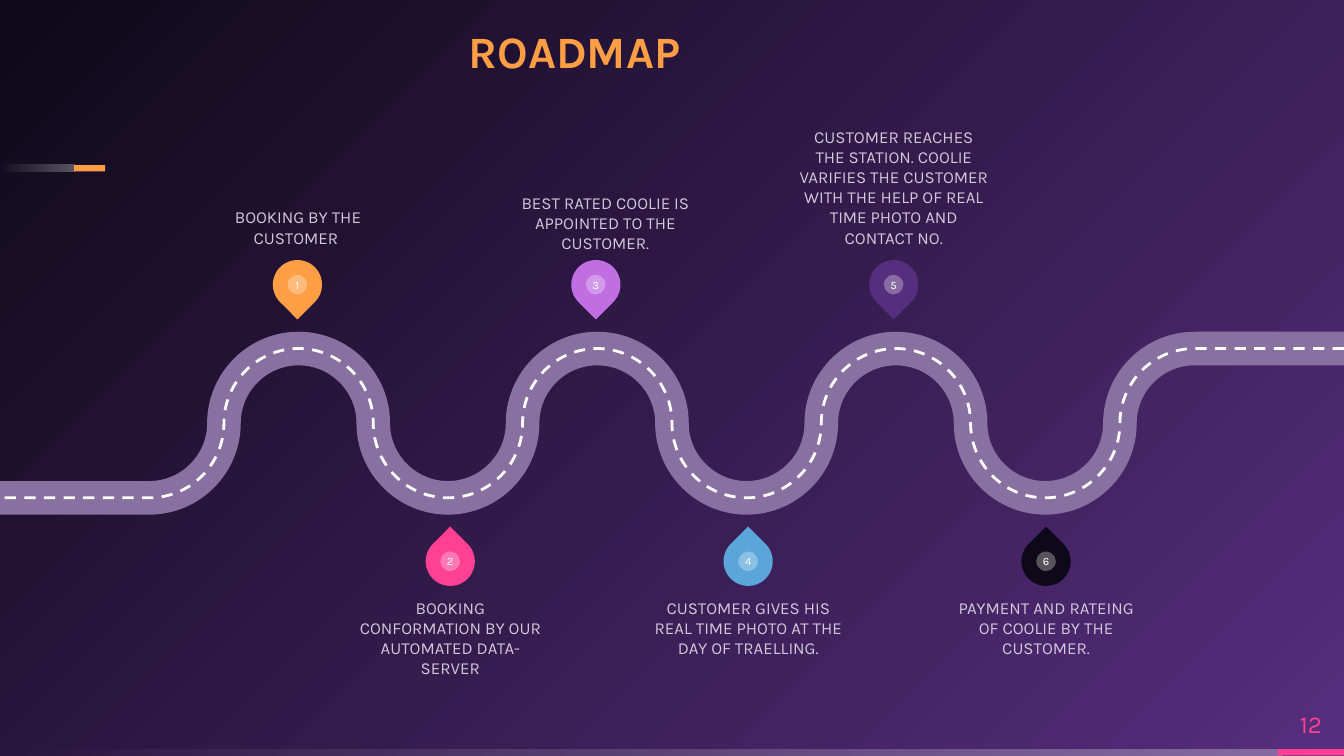
"""Build a roadmap slide with a winding road and six numbered milestones."""
from dataclasses import dataclass

from lxml import etree
from pptx import Presentation
from pptx.dml.color import RGBColor
from pptx.enum import dml, shapes, text
from pptx.oxml import ns
from pptx.util import Cm, Pt

FONT = "Karla"
COLORS = {
    "orange": "FF9E44", "pink": "FF4093", "violet": "C06EE2", "purple": "572D7E",
    "blue": "5AA5DA", "night": "0E0918", "white": "FFFFFF", "road": "8870A0",
    "caption": "D1C8DA",
}
RADIUS = 25.4 / 18
ROAD_Y = 8.0
ARC = 0.55
PIN, DOT, BAR = 0.93, 0.37, 0.12
CAPTION_W, CAPTION_H = 3.58, 1.47


@dataclass
class Milestone:
    number: int
    color: str
    pin_x: float
    caption_x: float
    caption_y: float
    caption: str

    @property
    def above(self) -> bool:
        return self.number % 2 == 1


MILESTONES = [
    Milestone(1, "orange", 5.62, 3.84, 3.21, "BOOKING BY THE CUSTOMER "),
    Milestone(2, "pink", 8.51, 6.72, 11.29,
              "BOOKING CONFORMATION BY OUR AUTOMATED DATA-SERVER"),
    Milestone(3, "violet", 11.26, 9.65, 3.31,
              "BEST RATED COOLIE IS APPOINTED TO THE CUSTOMER."),
    Milestone(4, "blue", 14.14, 12.35, 11.29,
              "CUSTOMER GIVES HIS REAL TIME PHOTO AT THE DAY OF TRAELLING."),
    Milestone(5, "purple", 16.89, 15.1, 3.21,
              "CUSTOMER REACHES THE STATION. COOLIE VARIFIES THE CUSTOMER "
              "WITH THE HELP OF REAL TIME PHOTO AND CONTACT NO."),
    Milestone(6, "night", 19.77, 17.98, 11.29,
              "PAYMENT AND RATEING OF COOLIE BY THE CUSTOMER."),
]


def rgb(name: str) -> RGBColor:
    return RGBColor.from_string(COLORS[name])


def set_alpha(fill_element, *percents: int) -> None:
    for color, percent in zip(fill_element.iter(ns.qn("a:srgbClr")), percents):
        etree.SubElement(color, ns.qn("a:alpha"), val=str(percent * 1000))


def write(sp, content: str, *, size: float, color: str, bold: bool = False,
          align=text.PP_ALIGN.CENTER, anchor=text.MSO_ANCHOR.MIDDLE,
          spacing: float = 1.0) -> None:
    tf = sp.text_frame
    tf.word_wrap = True
    tf.auto_size = text.MSO_AUTO_SIZE.NONE
    tf.vertical_anchor = anchor
    tf.margin_left = tf.margin_right = tf.margin_top = tf.margin_bottom = 0
    p = tf.paragraphs[0]
    p.alignment, p.line_spacing = align, spacing
    r = p.add_run()
    r.text = content
    r.font.name, r.font.size, r.font.bold = FONT, Pt(size), bold
    r.font.color.rgb = rgb(color)


def add_box(s, x: float, y: float, w: float, h: float, content: str, **style) -> None:
    box = s.shapes.add_textbox(Cm(x), Cm(y), Cm(w), Cm(h))
    write(box, content, **style)


def add_solid(parent, kind, x: float, y: float, w: float, h: float, color: str):
    sp = parent.shapes.add_shape(kind, Cm(x), Cm(y), Cm(w), Cm(h))
    sp.shadow.inherit = False
    sp.line.fill.background()
    sp.fill.solid()
    sp.fill.fore_color.rgb = rgb(color)
    return sp


def add_fading_bar(parent, y: float, w: float, tip_x: float, tip_w: float,
                   tip_color: str) -> None:
    rect = shapes.MSO_SHAPE.RECTANGLE
    bar = add_solid(parent, rect, 0, y, w, BAR, "white")
    bar.fill.gradient()
    bar.fill.gradient_angle = 180
    for stop in bar.fill.gradient_stops:
        stop.color.rgb = rgb("white")
    set_alpha(bar.fill._xPr.find(ns.qn("a:gradFill")), 30, 0)
    add_solid(parent, rect, tip_x, y, tip_w, BAR, tip_color)


def paint_background(s) -> None:
    fill = s.background.fill
    fill.gradient()
    for stop, color in zip(fill.gradient_stops, ("purple", "night")):
        stop.color.rgb = rgb(color)
    lin = next(s.background._cSld.iter(ns.qn("a:lin")))
    path = etree.Element(ns.qn("a:path"), {"path": "circle"})
    etree.SubElement(path, ns.qn("a:fillToRect"), l="100000", t="100000")
    lin.getparent().replace(lin, path)


def road_points() -> list[tuple[int, int]]:
    heights = (-RADIUS, 0, RADIUS, 0)
    bends = [(25.4 - RADIUS * (i + 2), ROAD_Y + heights[i % 4]) for i in range(15)]
    points = [(25.4, ROAD_Y - RADIUS), *bends, (0, ROAD_Y + RADIUS)]
    return [(Cm(x), Cm(y)) for x, y in points]


def round_bends(sp) -> None:
    lines = list(sp._element.iter(ns.qn("a:lnTo")))
    ends = [(int(line[0].get("x")), int(line[0].get("y"))) for line in lines]
    for i, ((ax, ay), (bx, by)) in enumerate(zip(ends[:-2], ends[1:-1])):
        dx, dy = (bx - ax) * ARC, (by - ay) * ARC
        if i % 2 == 0:
            controls = [(ax + dx, ay), (bx, by - dy)]
        else:
            controls = [(ax, ay + dy), (bx - dx, by)]
        curve = etree.Element(ns.qn("a:cubicBezTo"))
        for x, y in [*controls, (bx, by)]:
            etree.SubElement(curve, ns.qn("a:pt"), x=str(round(x)), y=str(round(y)))
        lines[i + 1].getparent().replace(lines[i + 1], curve)


def add_road(s, color: str, width: float, dash=None) -> None:
    start, *rest = road_points()
    builder = s.shapes.build_freeform(*start)
    builder.add_line_segments(rest, close=False)
    sp = builder.convert_to_shape()
    round_bends(sp)
    sp.shadow.inherit = False
    sp.fill.background()
    sp.line.color.rgb = rgb(color)
    sp.line.width = Pt(width)
    if dash:
        sp.line.dash_style = dash


def add_milestone(s, m: Milestone) -> None:
    y = 5.38 if m.above else 10.61
    grp = s.shapes.add_group_shape()
    pin = add_solid(grp, shapes.MSO_SHAPE.TEAR, m.pin_x - PIN / 2, y - PIN / 2,
                    PIN, PIN, m.color)
    pin.rotation = 135 if m.above else 315
    dot = add_solid(grp, shapes.MSO_SHAPE.OVAL, m.pin_x - DOT / 2, y - DOT / 2,
                    DOT, DOT, "white")
    set_alpha(dot.fill._xPr.find(ns.qn("a:solidFill")), 30)
    write(dot, str(m.number), size=6, color="white")
    anchor = text.MSO_ANCHOR.BOTTOM if m.above else text.MSO_ANCHOR.TOP
    add_box(s, m.caption_x, m.caption_y, CAPTION_W, CAPTION_H, m.caption,
            size=9, color="caption", anchor=anchor)


def main() -> None:
    prs = Presentation()
    prs.slide_width, prs.slide_height = Cm(25.4), Cm(14.29)
    s = prs.slides.add_slide(prs.slide_layouts[5])
    paint_background(s)
    title = s.shapes.title
    title.left, title.top, title.width, title.height = map(Cm, (8.86, 0.38, 14.73, 1.09))
    write(title, "ROADMAP", size=24, color="orange", bold=True, spacing=0.9,
          align=text.PP_ALIGN.LEFT, anchor=text.MSO_ANCHOR.BOTTOM)
    add_fading_bar(s, 14.16, 24.23, 24.15, 1.25, "pink")
    add_fading_bar(s.shapes.add_group_shape(), 3.12, 1.41, 1.4, 0.59, "orange")
    add_box(s, 24.15, 13.19, 1.25, 0.97, "12", size=13, color="pink")
    add_road(s, "road", 18)
    add_road(s, "white", 1.5, dml.MSO_LINE.DASH)
    for milestone in MILESTONES:
        add_milestone(s, milestone)
    prs.save("out.pptx")


if __name__ == "__main__":
    main()
